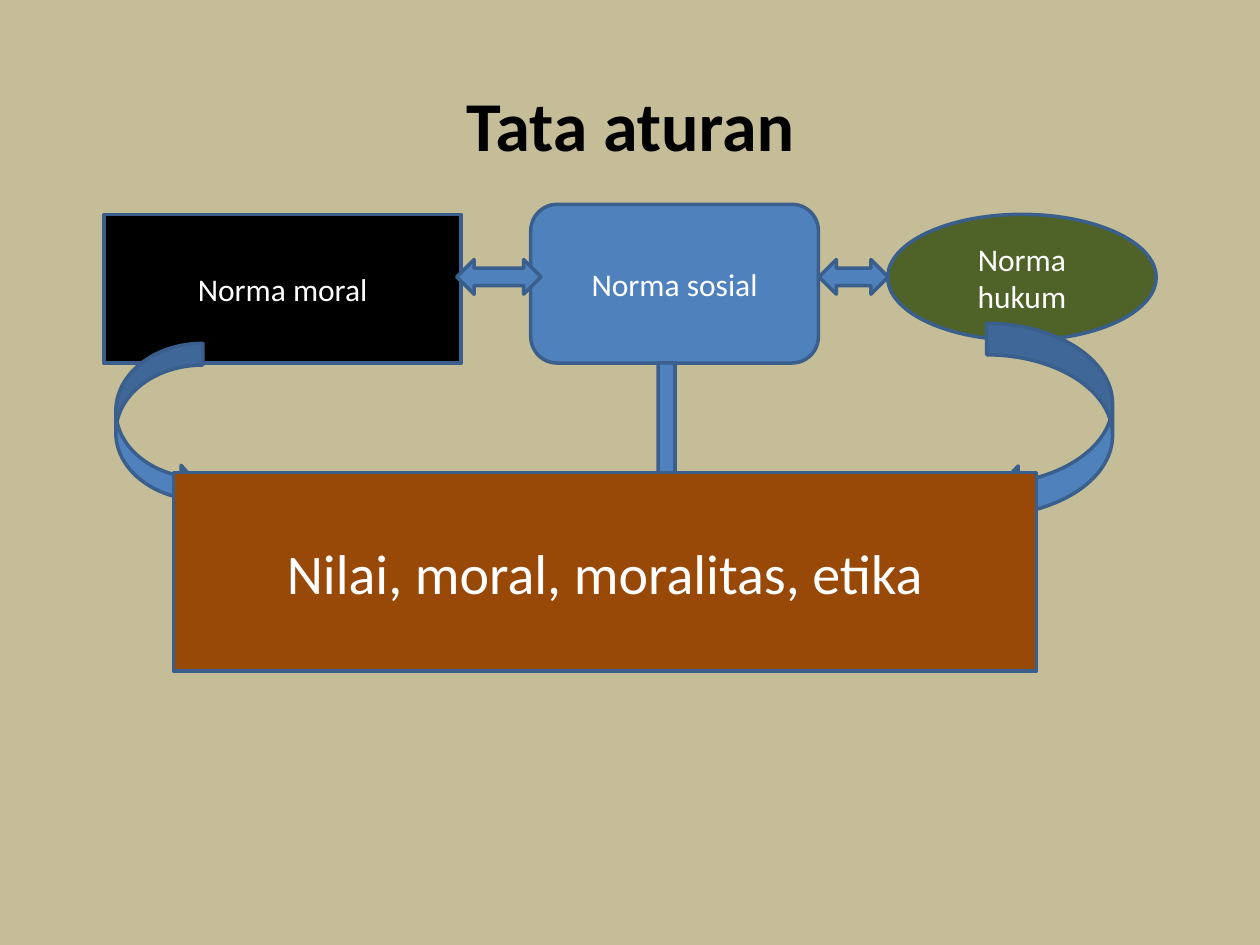
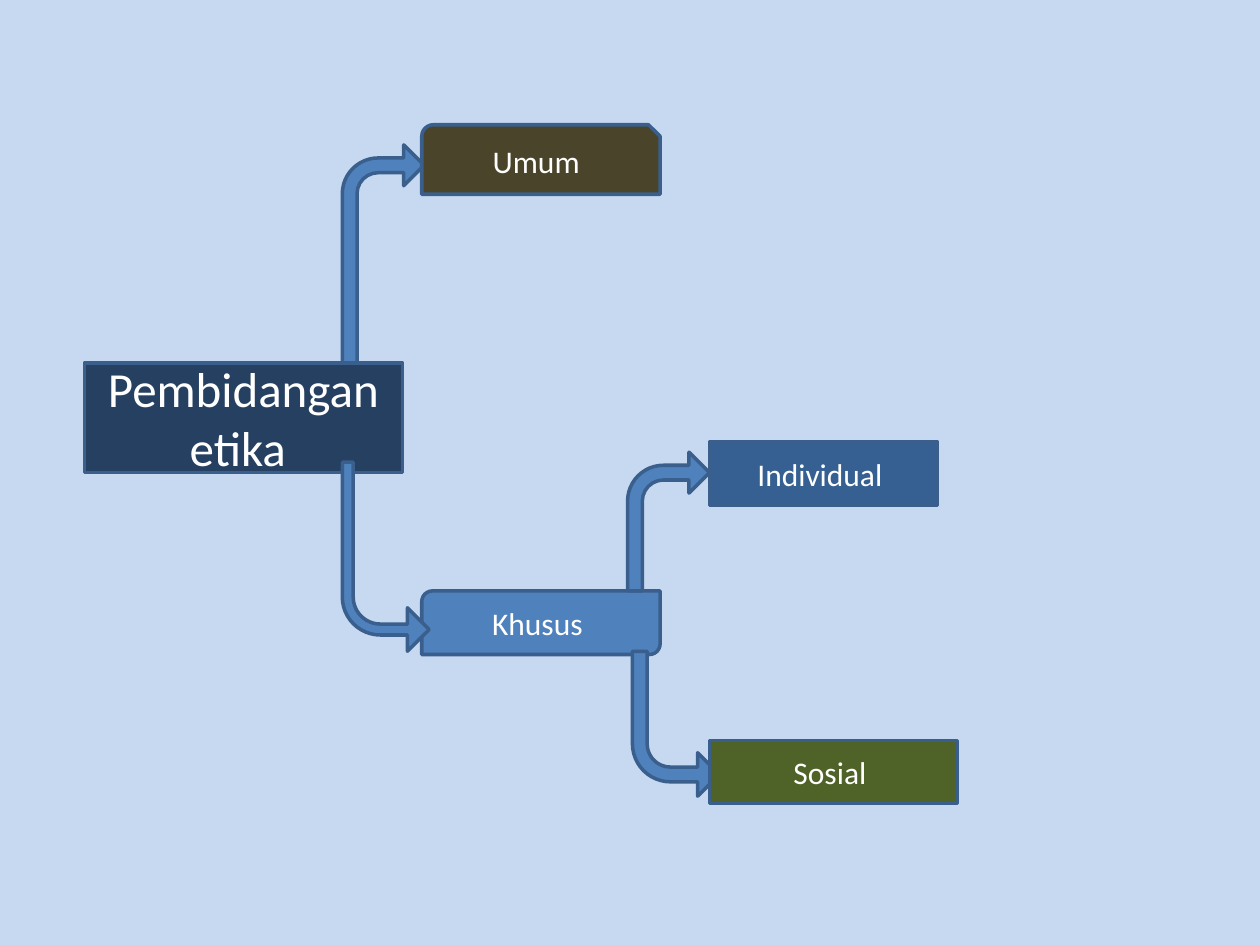
from pptx import Presentation
from pptx.dml.color import RGBColor
from pptx.enum.shapes import MSO_SHAPE
from pptx.enum.text import MSO_ANCHOR, PP_ALIGN
from pptx.util import Pt

RECT, ROUND, OVAL = MSO_SHAPE.RECTANGLE, MSO_SHAPE.ROUNDED_RECTANGLE, MSO_SHAPE.OVAL
SNIP, DIAG = MSO_SHAPE.SNIP_ROUND_RECTANGLE, MSO_SHAPE.ROUND_2_DIAG_RECTANGLE
TWO_WAY, DOWN, BENT = MSO_SHAPE.LEFT_RIGHT_ARROW, MSO_SHAPE.DOWN_ARROW, MSO_SHAPE.BENT_ARROW
CURVE_R, CURVE_L = MSO_SHAPE.CURVED_RIGHT_ARROW, MSO_SHAPE.CURVED_LEFT_ARROW
CENTER, TOP, MIDDLE = PP_ALIGN.CENTER, MSO_ANCHOR.TOP, MSO_ANCHOR.MIDDLE

COLORS = {
    "sand": "C4BD97", "sky": "C6D9F1", "black": "000000", "white": "FFFFFF",
    "blue": "4F81BD", "edge": "3A5F8C", "green": "4F6228", "rust": "984807",
    "navy": "254061", "olive": "4A452A", "steel": "376092",
}


class Deck:
    font = "Calibri"
    line_width = 2

    def __init__(self, prs):
        self.prs = prs
        self.slide = None

    def color(self, name):
        return RGBColor.from_string(COLORS[name])

    def new_slide(self, background):
        self.slide = self.prs.slides.add_slide(self.prs.slide_layouts[6])
        fill = self.slide.background.fill
        fill.solid()
        fill.fore_color.rgb = self.color(background)

    def text(self, s, text, size, color="white", bold=False, anchor=MIDDLE):
        tf = s.text_frame
        tf.word_wrap = True
        tf.vertical_anchor = anchor
        tf.text = text
        p = tf.paragraphs[0]
        p.alignment = CENTER
        font = p.runs[0].font
        font.name, font.size, font.bold = self.font, Pt(size), bold
        font.color.rgb = self.color(color)

    def title(self, text, box):
        s = self.slide.shapes.add_textbox(*map(Pt, box))
        self.text(s, text, 40, "black", True, TOP)

    def shape(self, kind, box, fill="blue"):
        s = self.slide.shapes.add_shape(kind, *map(Pt, box))
        s.shadow.inherit = False
        s.fill.solid()
        s.fill.fore_color.rgb = self.color(fill)
        s.line.color.rgb = self.color("edge")
        s.line.width = Pt(self.line_width)
        return s

    def box(self, kind, box, text, fill="blue", size=18):
        self.text(self.shape(kind, box, fill), text, size)

    def bent_arrow(self, box, shaft, down=False):
        s = self.shape(BENT, box)
        for i, value in enumerate((shaft, 0.25, 0.25, 0.438)):
            s.adjustments[i] = value
        if down:
            s._element.spPr.xfrm.set("flipV", "1")


prs = Presentation()
prs.slide_width, prs.slide_height = Pt(720), Pt(540)
deck = Deck(prs)

# Slide 1: three kinds of norms resting on shared values
deck.new_slide("sand")
deck.title("Tata aturan", (36.7, 43.2, 646.6, 459.4))
deck.box(RECT, (59.5, 122.5, 204, 85), "Norma moral", "black")
deck.box(ROUND, (303.3, 116.8, 164.4, 90.7), "Norma sosial")
deck.box(OVAL, (507.3, 122.5, 153.4, 72), "Norma hukum", "green")

# Arrows between the norms, then down to the base
for x, width in ((261, 48.2), (468, 39.6)):
    deck.shape(TWO_WAY, (x, 148.3, width, 19.8))
deck.shape(CURVE_R, (66.2, 196.2, 49.7, 95.8))
deck.shape(CURVE_L, (563.8, 184.8, 72, 119))
deck.shape(DOWN, (371.2, 207.4, 19.4, 77))
deck.box(RECT, (99.2, 270, 493.2, 113.4), "Nilai, moral, moralitas, etika", "rust", 32)

# Slide 2: branches of ethics
deck.new_slide("sky")
deck.box(RECT, (48.2, 207.4, 181.8, 62.6), "Pembidangan etika ", "navy", 28)
deck.bent_arrow((195.6, 82.8, 46.8, 124.6), 0.18)
deck.box(SNIP, (241, 71.3, 136.2, 39.7), "Umum ", "olive")
deck.box(DIAG, (241, 337.7, 136.2, 36.3), "Khusus ")
deck.bent_arrow((195.6, 264.2, 49.7, 108), 0.126, down=True)

# Sub-branches of the special field
deck.bent_arrow((358.6, 258.4, 46.8, 79.2), 0.18)
deck.box(RECT, (405.4, 252.6, 130.4, 36.2), "Individual ", "steel")
deck.bent_arrow((361.4, 372.2, 49.7, 82.8), 0.17, down=True)
deck.box(RECT, (405.4, 423, 141.8, 36.2), "Sosial ", "green")

prs.save("out.pptx")
